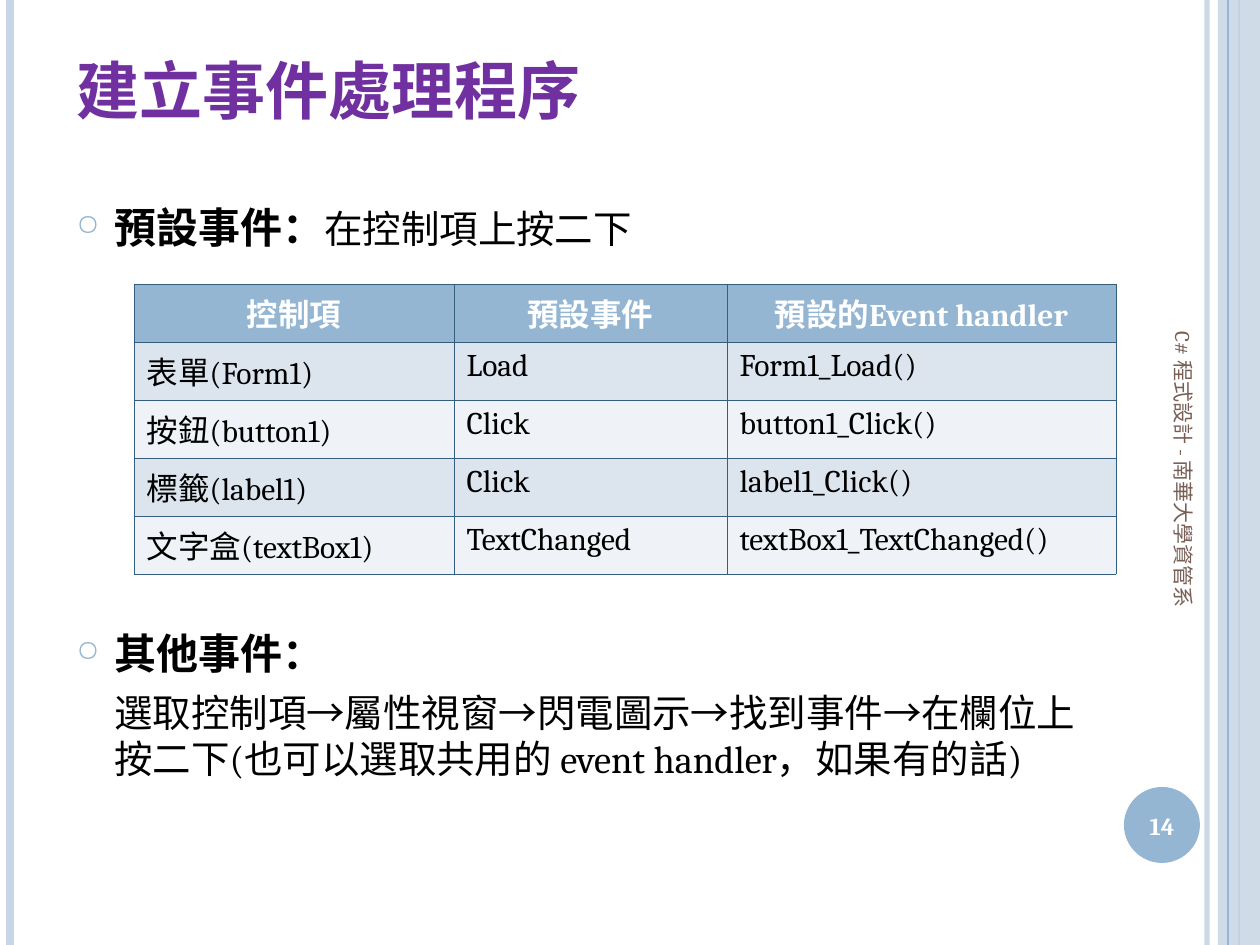
"""Build the slide about creating event handlers."""
import pptx
import pptx.dml.color
import pptx.enum.shapes
import pptx.enum.text
import pptx.oxml
import pptx.oxml.ns
import pptx.util

RGBColor = pptx.dml.color.RGBColor
Shape = pptx.enum.shapes.MSO_SHAPE
Align = pptx.enum.text.PP_ALIGN
Anchor = pptx.enum.text.MSO_ANCHOR
Pt = pptx.util.Pt

BLUE = RGBColor(0x94, 0xB6, 0xD2)
PALE_BLUE = RGBColor(0xC8, 0xD7, 0xE5)
BORDER = RGBColor(0x35, 0x5D, 0x7E)
BAND_DARK = RGBColor(0xDC, 0xE5, 0xEE)
BAND_LIGHT = RGBColor(0xEF, 0xF3, 0xF7)
PURPLE = RGBColor(0x70, 0x30, 0xA0)
BROWN = RGBColor(0x77, 0x5F, 0x55)
WHITE = RGBColor(0xFF, 0xFF, 0xFF)
BLACK = RGBColor(0, 0, 0)

WIDTH, HEIGHT = 1260, 945
ROWS = [
    ("控制項", "預設事件", "預設的Event handler"),
    ("表單(Form1)", "Load", "Form1_Load()"),
    ("按鈕(button1)", "Click", "button1_Click()"),
    ("標籤(label1)", "Click", "label1_Click()"),
    ("文字盒(textBox1)", "TextChanged", "textBox1_TextChanged()"),
]


def px(n):
    return round(n * 914400 / 126)


def xml(tag, attrs="", inner=""):
    ns = pptx.oxml.ns.nsdecls("a")
    return pptx.oxml.parse_xml(f"<a:{tag} {ns} {attrs}>{inner}</a:{tag}>")


class SlideBuilder:
    """Holds the style and the current slide."""

    font = "Cambria"

    def __init__(self, prs):
        self.s = prs.slides.add_slide(prs.slide_layouts[6])

    def style(self, r, size, color=BLACK, bold=False):
        r.font.name = self.font
        r.font.size = Pt(size)
        r.font.bold = bold
        r.font.color.rgb = color

    def set_alpha(self, sp, tag, percent):
        clr = sp._element.spPr.find(f".//{pptx.oxml.ns.qn(tag)}//{pptx.oxml.ns.qn('a:srgbClr')}")
        clr.append(xml("alpha", f'val="{percent * 1000}"'))

    def rule(self, x, color, weight):
        sp = self.s.shapes.add_connector(
            pptx.enum.shapes.MSO_CONNECTOR.STRAIGHT, px(x), 0, px(x), px(HEIGHT))
        sp.line.color.rgb = color
        sp.line.width = Pt(weight)
        sp._element.spPr.append(xml("effectLst"))
        return sp

    def shape(self, kind, x, y, w, h, color):
        sp = self.s.shapes.add_shape(kind, px(x), px(y), px(w), px(h))
        sp.shadow.inherit = False
        sp.fill.solid()
        sp.fill.fore_color.rgb = color
        sp.line.fill.background()
        return sp

    def frame(self, x, y, w, h, anchor=Anchor.TOP, rotation=0):
        sp = self.s.shapes.add_textbox(px(x), px(y), px(w), px(h))
        sp.rotation = rotation
        tf = sp.text_frame
        tf.word_wrap = True
        tf.vertical_anchor = anchor
        return tf

    def label(self, box, text, size, color, bold=False, align=Align.LEFT,
              anchor=Anchor.MIDDLE, rotation=0):
        tf = self.frame(*box, anchor, rotation)
        tf.text = text
        p = tf.paragraphs[0]
        p.alignment = align
        self.style(p.runs[0], size, color, bold)

    def body_paragraph(self, p, runs, before=0, bullet=False):
        pPr = p._p.get_or_add_pPr()
        pPr.set("marL", str(px(38)))
        pPr.set("indent", str(px(-38) if bullet else 0))
        if bullet:
            pPr.append(xml("buClr", inner=f'<a:srgbClr val="{BLUE}"/>'))
            pPr.append(xml("buSzPct", 'val="70000"'))
            pPr.append(xml("buChar", 'char="○"'))
        else:
            pPr.append(xml("buNone"))
        if before:
            p.space_before = Pt(before)
        for text, size, bold in runs:
            r = p.add_run()
            r.text = text
            self.style(r, size, bold=bold)

    def cell(self, cell, text, fill, color, bold, align):
        cell.fill.solid()
        cell.fill.fore_color.rgb = fill
        cell.text_frame.text = text
        p = cell.text_frame.paragraphs[0]
        p.alignment = align
        self.style(p.runs[0], 18, color, bold)
        tcPr = cell._tc.get_or_add_tcPr()
        line = f'<a:solidFill><a:srgbClr val="{BORDER}"/></a:solidFill>'
        for i, side in enumerate(("lnL", "lnR", "lnT", "lnB")):
            tcPr.insert(i, xml(side, 'w="5715"', line))

    def table(self, x, y, widths, row_height, rows):
        table = self.s.shapes.add_table(
            len(rows), len(widths), px(x), px(y),
            px(sum(widths)), px(row_height * len(rows))).table
        for col, w in zip(table.columns, widths):
            col.width = px(w)
        for i, texts in enumerate(rows):
            table.rows[i].height = px(row_height)
            if i == 0:
                look = (BLUE, WHITE, True, Align.CENTER)
            else:
                look = (BAND_DARK if i % 2 else BAND_LIGHT, BLACK, False, Align.LEFT)
            for j, text in enumerate(texts):
                self.cell(table.cell(i, j), text, *look)


def main():
    prs = pptx.Presentation()
    prs.slide_width, prs.slide_height = px(WIDTH), px(HEIGHT)
    b = SlideBuilder(prs)

    b.set_alpha(b.rule(1207, PALE_BLUE, 3), "a:ln", 93)
    b.rule(10, PALE_BLUE, 4.5)
    b.rule(1239, BLUE, 1.5)
    b.set_alpha(b.shape(Shape.RECTANGLE, 1218, 0, 42, HEIGHT, PALE_BLUE), "a:solidFill", 87)
    b.rule(1228, BLUE, 0.75)
    b.shape(Shape.OVAL, 1124, 787, 76, 76, BLUE)

    b.label((1120, 790, 84, 72), "14", 14, WHITE, True, Align.CENTER)
    b.label((963, 515, 441, 50), "C# 程式設計 - 南華大學資管系", 12, BROWN, rotation=90)
    b.label((64, 26, 1029, 107), "建立事件處理程序", 36, PURPLE, True, anchor=Anchor.BOTTOM)

    tf = b.frame(64, 195, 1052, 707)
    b.body_paragraph(tf.paragraphs[0], [("預設事件：", 24, True), ("在控制項上按二下", 22, False)],
                     bullet=True)
    b.body_paragraph(tf.add_paragraph(), [("其他事件：", 24, True)], before=215, bullet=True)
    b.body_paragraph(tf.add_paragraph(), [(
        "選取控制項→屬性視窗→閃電圖示→找到事件→在欄位上按二下"
        "(也可以選取共用的 event handler，如果有的話)", 22, False)], before=6)

    b.table(134, 284, (320, 273, 389), 58, ROWS)
    prs.save("out.pptx")


if __name__ == "__main__":
    main()
